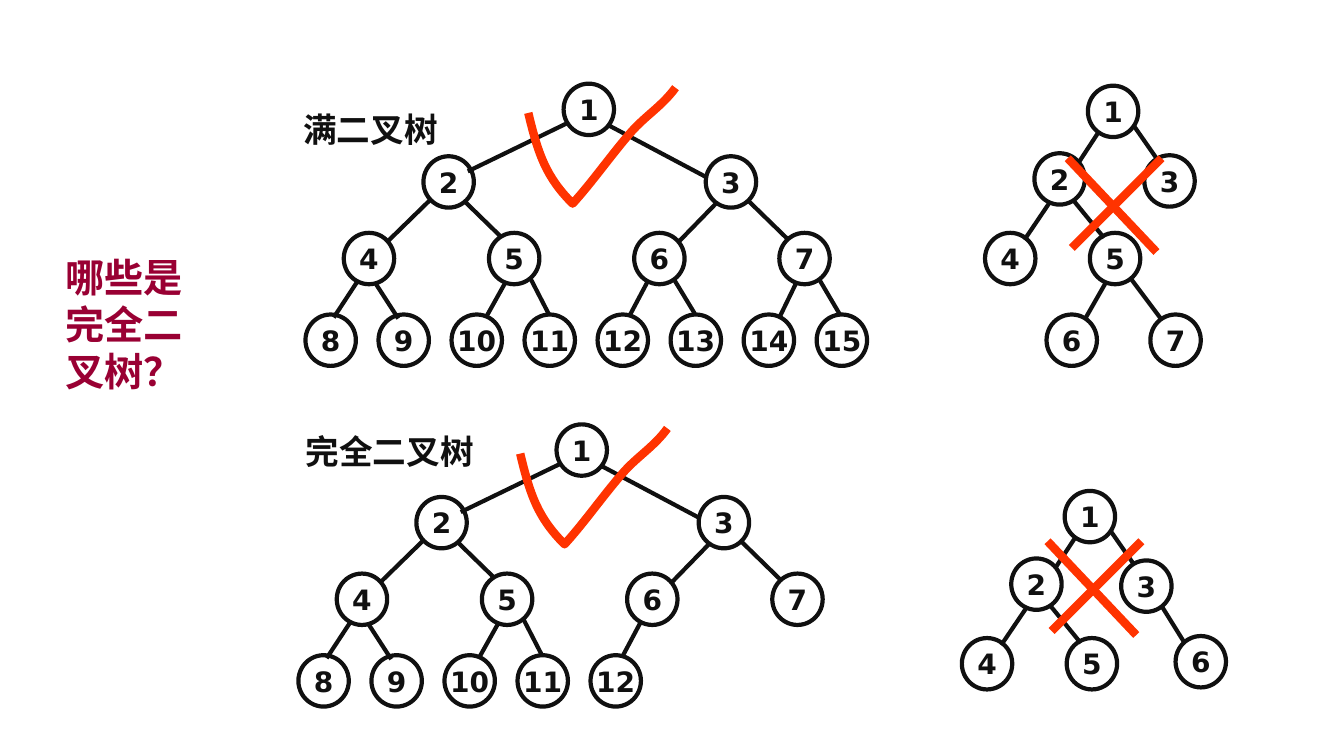
from lxml import etree
from pptx import Presentation
from pptx.dml.color import RGBColor
from pptx.enum.shapes import MSO_CONNECTOR, MSO_SHAPE
from pptx.enum.text import MSO_ANCHOR, PP_ALIGN
from pptx.oxml.ns import qn
from pptx.util import Inches, Pt

LINE = MSO_CONNECTOR.STRAIGHT
OVAL = MSO_SHAPE.OVAL
LEFT, CENTER = PP_ALIGN.LEFT, PP_ALIGN.CENTER
TOP, MIDDLE = MSO_ANCHOR.TOP, MSO_ANCHOR.MIDDLE

COLORS = {"ink": "101010", "mark": "FF3300", "title": "990033"}
LATIN, HAN = "DejaVu Sans", "Noto Sans CJK SC"

# Row tops, first left edge and step of each level in the full tree
LEVELS = [(0.83, 5.59, 0), (1.55, 4.2, 2.8), (2.31, 3.41, 1.44), (3.12, 3.03, 0.7243)]
FULL = {2 ** row + i: (left + i * step, top)
        for row, (top, left, step) in enumerate(LEVELS) for i in range(2 ** row)}

# Edges are keyed by the child node they lead to
FULL_EDGES = {
    2: (5.63, 1.22, 4.64, 1.7), 3: (6.03, 1.24, 7.01, 1.76),
    4: (4.26, 1.99, 3.85, 2.39), 5: (4.6, 1.99, 4.97, 2.35),
    6: (7.11, 2.01, 6.73, 2.4), 7: (7.42, 1.99, 7.81, 2.37),
    8: (3.54, 2.8, 3.31, 3.15), 9: (3.73, 2.82, 3.95, 3.16),
    10: (5.02, 2.79, 4.83, 3.13), 11: (5.26, 2.76, 5.45, 3.13),
    12: (6.42, 2.8, 6.24, 3.14), 13: (6.69, 2.78, 6.89, 3.11),
    14: (7.9, 2.8, 7.73, 3.15), 15: (8.13, 2.78, 8.33, 3.12),
}

# Five nodes that both small trees share
SMALL = {1: (10.79, 0.85), 2: (10.26, 1.52), 3: (11.35, 1.54),
         4: (9.77, 2.31), 5: (10.81, 2.31)}
SMALL_EDGES = {
    2: (10.89, 1.32, 10.7, 1.61), 3: (11.24, 1.24, 11.47, 1.57),
    4: (10.41, 2.01, 10.16, 2.38), 5: (10.64, 1.98, 10.95, 2.36),
}
DEEP = {6: (10.38, 3.12), 7: (11.41, 3.12)}
DEEP_EDGES = {6: (10.97, 2.8, 10.77, 3.15), 7: (11.22, 2.77, 11.52, 3.17)}
SIDE = {6: (11.89, 2.29)}
SIDE_EDGES = {6: (11.75, 1.99, 11.98, 2.36)}

# Start point, then three points for each curve
TICK = [(5.24, 1.12), (5.34, 1.54), (5.42, 1.76), (5.68, 2.02), (5.88, 1.8),
        (6.06, 1.54), (6.26, 1.31), (6.4, 1.15), (6.57, 1.05), (6.7, 0.87)]
CROSS = [(11.52, 1.57, 10.63, 2.46), (10.59, 1.57, 11.47, 2.5)]


def write(frame, text, size=20, font=LATIN, color="ink", align=CENTER,
          anchor=MIDDLE, wrap=True, inset=(0.1, 0.05), pitch=None):
    frame.word_wrap = wrap
    frame.vertical_anchor = anchor
    frame.margin_left = frame.margin_right = Inches(inset[0])
    frame.margin_top = frame.margin_bottom = Inches(inset[1])
    para = frame.paragraphs[0]
    para.alignment = align
    if pitch:
        para.line_spacing = Pt(size * pitch)
    run = para.add_run()
    run.text = text
    run.font.size = Pt(size)
    run.font.bold = True
    run.font.name = font
    run.font.color.rgb = RGBColor.from_string(COLORS[color])
    east = etree.SubElement(run.font._element, qn("a:ea"))
    east.set("typeface", font)


class Board:
    def __init__(self, slide):
        self.shapes = slide.shapes
        self.size = (Inches(0.5), Inches(0.51))

    def stroke(self, shape, color, width):
        shape.line.color.rgb = RGBColor.from_string(COLORS[color])
        shape.line.width = Pt(width)

    def node(self, host, label, x, y):
        oval = host.add_shape(OVAL, Inches(x), Inches(y), *self.size)
        oval.shadow.inherit = False
        oval.fill.background()
        self.stroke(oval, "ink", 3)
        write(oval.text_frame, str(label), wrap=False, inset=(0, 0))

    def edge(self, host, ends, dx, dy, color="ink", width=3):
        x1, y1, x2, y2 = ends
        line = host.add_connector(LINE, Inches(x1 + dx), Inches(y1 + dy),
                                  Inches(x2 + dx), Inches(y2 + dy))
        self.stroke(line, color, width)
        etree.SubElement(line._element.spPr, qn("a:effectLst"))

    def tree(self, nodes, edges, dx=0, dy=0):
        host = self.shapes.add_group_shape().shapes
        for label, (x, y) in nodes.items():
            self.node(host, label, x + dx, y + dy)
        for ends in edges.values():
            self.edge(host, ends, dx, dy)

    def cross(self, dx=0, dy=0):
        host = self.shapes.add_group_shape().shapes
        for ends in CROSS:
            self.edge(host, ends, dx, dy, "mark", 6)

    def tick(self, dx=0, dy=0):
        points = [(Inches(x + dx), Inches(y + dy)) for x, y in TICK]
        pen = self.shapes.build_freeform(*points[0])
        pen.add_line_segments(points[1:], close=False)
        mark = pen.convert_to_shape()
        mark.shadow.inherit = False
        mark.fill.background()
        self.stroke(mark, "mark", 6)
        # Turn each three line segments into one cubic curve
        route = mark._element.find(".//" + qn("a:path"))
        steps = route.findall(qn("a:lnTo"))
        for i in range(0, len(steps), 3):
            curve = etree.SubElement(route, qn("a:cubicBezTo"))
            for step in steps[i:i + 3]:
                curve.append(step[0])
                route.remove(step)

    def text(self, text, x, y, w, h, **style):
        box = self.shapes.add_textbox(Inches(x), Inches(y), Inches(w), Inches(h))
        write(box.text_frame, text, font=HAN, pitch=1.2, **style)


def main():
    deck = Presentation()
    deck.slide_width, deck.slide_height = Inches(13.33), Inches(7.5)
    board = Board(deck.slides.add_slide(deck.slide_layouts[6]))

    board.tree(FULL, FULL_EDGES)
    board.tree({n: spot for n, spot in FULL.items() if n <= 12},
               {n: ends for n, ends in FULL_EDGES.items() if n <= 12}, -0.07, 3.38)
    board.tree(SMALL | DEEP, SMALL_EDGES | DEEP_EDGES)
    board.tree(SMALL | SIDE, SMALL_EDGES | SIDE_EDGES, -0.23, 4.02)

    board.tick(-0.08, 3.38)
    board.cross(-0.2, 3.8)
    board.text("满二叉树", 2.5, 1.03, 2.35, 0.5, size=24, anchor=TOP)
    board.text("完全二叉树", 2.64, 4.23, 2.45, 0.5, size=24, anchor=TOP)
    board.tick()
    board.cross()
    board.text("哪些是完全二叉树？", 0.55, 2.23, 1.63, 1.97, size=28,
               color="title", align=LEFT)
    deck.save("out.pptx")


if __name__ == "__main__":
    main()
